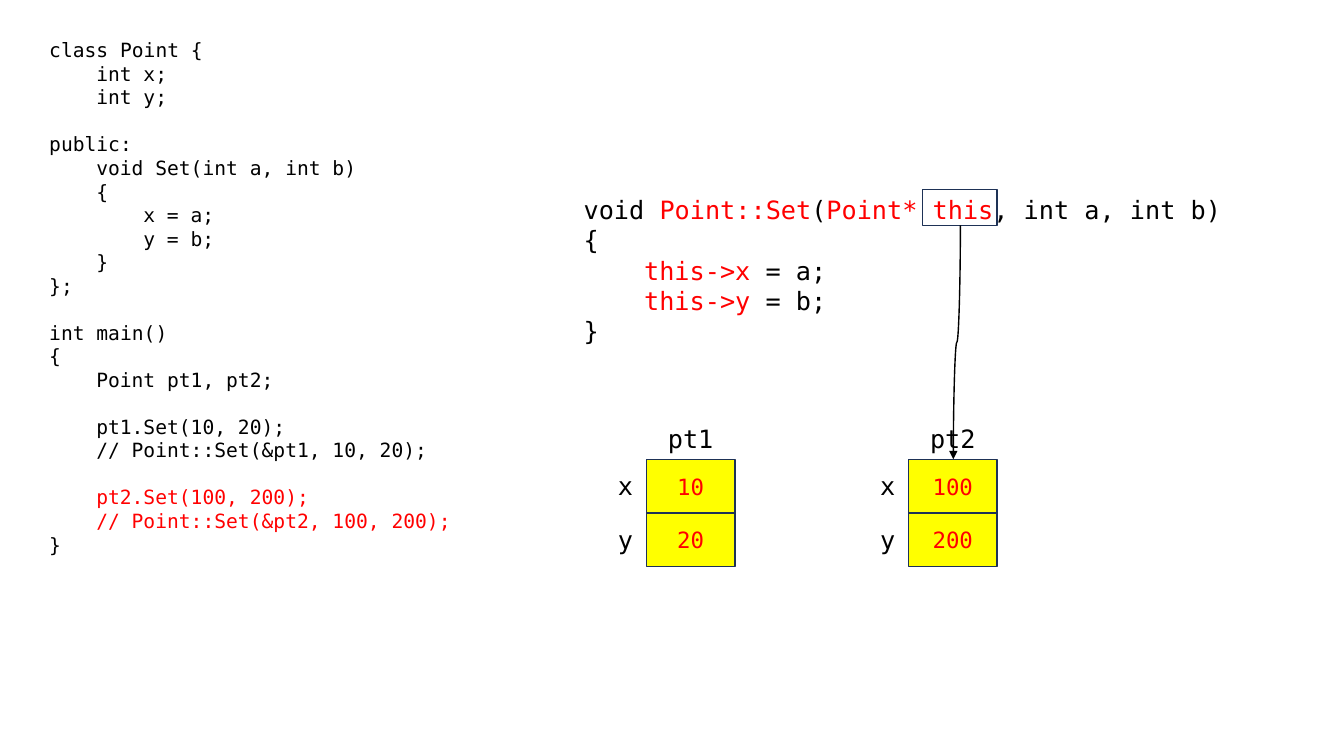
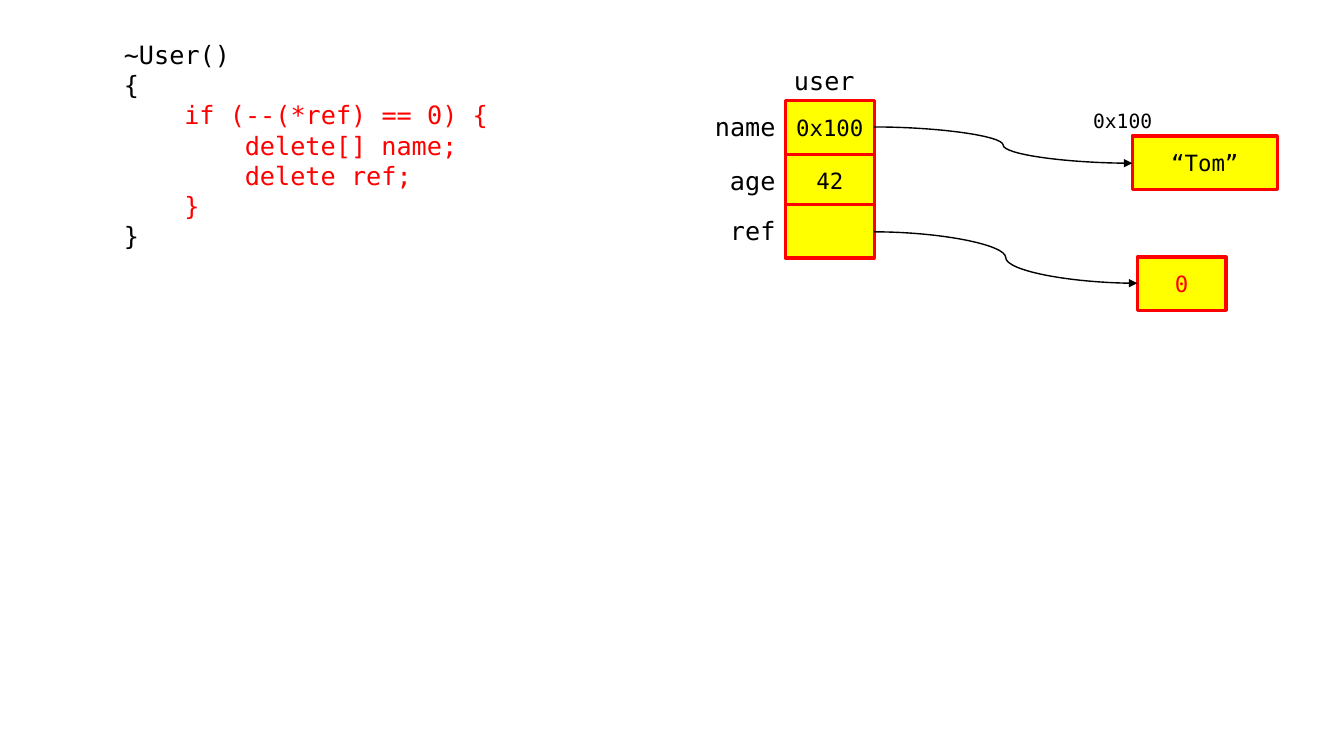
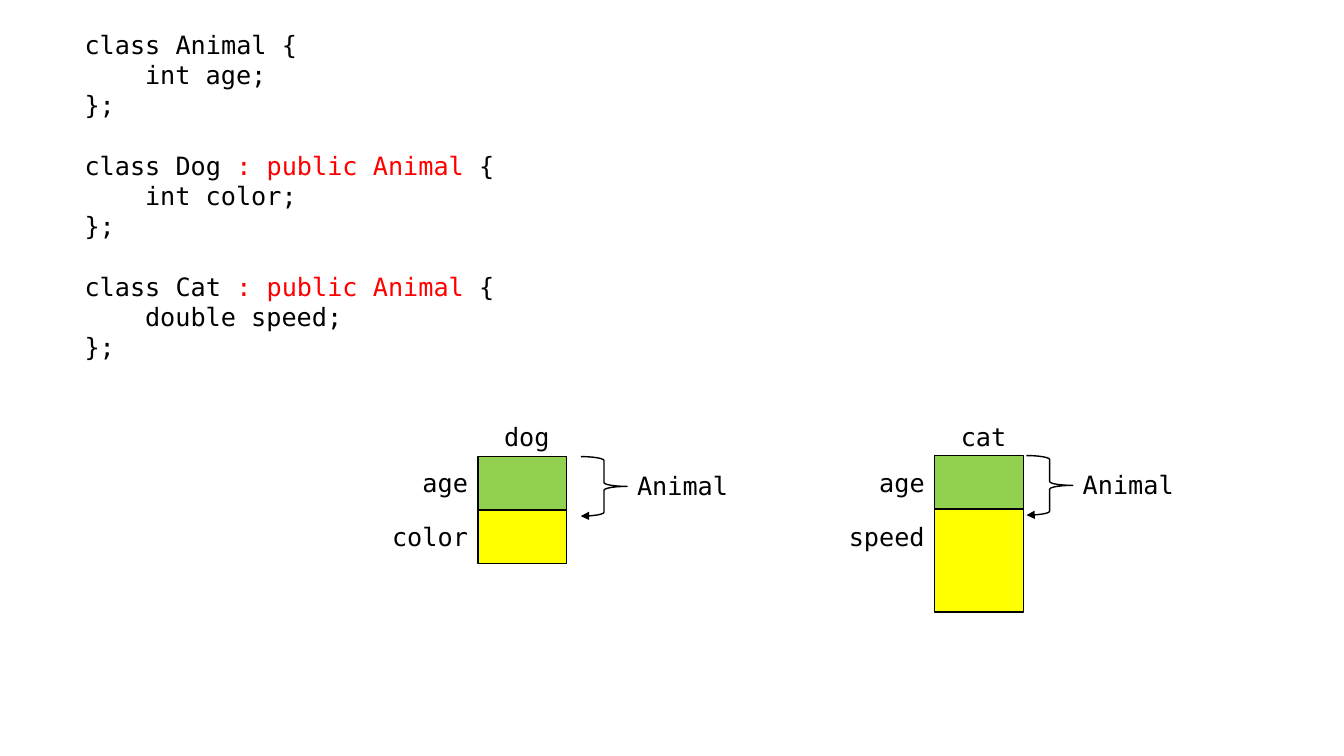
from lxml import etree
from pptx import Presentation
from pptx.dml.color import RGBColor
from pptx.enum import shapes, text
from pptx.oxml import ns
from pptx.util import Inches, Pt

FONT = "DejaVu Sans Mono"
BLACK = RGBColor(0x00, 0x00, 0x00)
RED = RGBColor(0xFF, 0x00, 0x00)
YELLOW = RGBColor(0xFF, 0xFF, 0x00)
GREEN = RGBColor(0x92, 0xD0, 0x50)
NAVY = RGBColor(0x1E, 0x32, 0x56)
LEFT, CENTER, RIGHT = text.PP_ALIGN.LEFT, text.PP_ALIGN.CENTER, text.PP_ALIGN.RIGHT
RECT = shapes.MSO_SHAPE.RECTANGLE
BRACE = shapes.MSO_SHAPE.LEFT_BRACE
CHAR_WIDTH, LINE_HEIGHT = 0.6, 1.2  # in ems
CELL_W, CELL_H = 0.88, 0.53
LABEL_H = 0.4


def put(slide, at, source="", size=18, align=LEFT, kind=None, fill=None, line=BLACK, width=1):
    """Add a text box, or a shape of the given kind; text between bars is red."""
    at = [Inches(v) for v in at]
    if kind is None:
        sp = slide.shapes.add_textbox(*at)
        sp.text_frame.auto_size = text.MSO_AUTO_SIZE.SHAPE_TO_FIT_TEXT
    else:
        sp = slide.shapes.add_shape(kind, *at)
        sp.shadow.inherit = False
        sp.line.color.rgb = line
        sp.line.width = Pt(width)
        if fill is None:
            sp.fill.background()
        else:
            sp.fill.solid()
            sp.fill.fore_color.rgb = fill
        sp.text_frame.vertical_anchor = text.MSO_ANCHOR.MIDDLE
    tf = sp.text_frame
    tf.word_wrap = True
    p, gap = tf.paragraphs[0], 0
    for row in source.strip("\n").splitlines():
        if not row:
            gap = size * LINE_HEIGHT
            continue
        if p.runs:
            p = tf.add_paragraph()
        p.alignment = align
        p.line_spacing = Pt(size * LINE_HEIGHT)
        p.space_before = Pt(gap)
        gap = 0
        code = row.lstrip(" ")
        indent = (len(row) - len(code)) * CHAR_WIDTH * size
        p._p.get_or_add_pPr().set("marL", str(Pt(indent)))
        for i, part in enumerate(code.split("|")):
            if part:
                r = p.add_run()
                r.text = part
                r.font.name = FONT
                r.font.size = Pt(size)
                r.font.color.rgb = RED if i % 2 else BLACK
    return sp


def add_arrowhead(sp):
    """Put a triangle at the end of the shape's line."""
    ln = sp.line._get_or_add_ln()
    etree.SubElement(ln, ns.qn("a:tailEnd"), type="triangle")


prs = Presentation()
prs.slide_width, prs.slide_height = Inches(13.33), Inches(7.5)
this_slide, ref_slide, animal_slide = [
    prs.slides.add_slide(prs.slide_layouts[6]) for _ in range(3)]

# Slide 1: the this pointer
put(this_slide, (0.39, 0.33, 5.14, 5.28), """
class Point {
    int x;
    int y;

public:
    void Set(int a, int b)
    {
        x = a;
        y = b;
    }
};

int main()
{
    Point pt1, pt2;

    pt1.Set(10, 20);
    // Point::Set(&pt1, 10, 20);

    |pt2.Set(100, 200);|
    |// Point::Set(&pt2, 100, 200);|
}
""", 14)
for name, x, values in [("pt1", 6.41, (10, 20)), ("pt2", 9.01, (100, 200))]:
    put(this_slide, (x, 4.15, CELL_W, LABEL_H), name, align=CENTER)
    for i, (field, value) in enumerate(zip("xy", values)):
        y = 4.56 + i * CELL_H
        put(this_slide, (x, y, CELL_W, CELL_H), f"|{value}|", 16, CENTER, RECT, YELLOW, NAVY)
        put(this_slide, (x - 0.38, y + 0.06, 0.38, LABEL_H), field)
put(this_slide, (5.69, 1.88, 6.92, 1.62), """
void |Point::Set|(|Point* this|, int a, int b)
{
    |this->x| = a;
    |this->y| = b;
}
""")
put(this_slide, (9.15, 1.88, 0.74, 0.36), kind=RECT, line=NAVY)

# Slide 2: the reference count
put(ref_slide, (0.53, 0.34, 5.14, 2.22), """
    ~User()
    {
        |if (--(*ref) == 0) {|
            |delete[] name;|
            |delete ref;|
        |}|
    }
""")
put(ref_slide, (7.6, 0.6, 1.15, LABEL_H), "user", align=CENTER)
for field, y in [("name", 1), ("age", 1.53), ("ref", 2.03)]:
    put(ref_slide, (6.92, y + 0.06, 0.87, LABEL_H), field, align=RIGHT)
put(ref_slide, (10.6, 1.03, 1.07, 0.34), "0x100", 14, CENTER)
for x, y, w, value in [(7.79, 1, CELL_W, "0x100"), (7.79, 1.53, CELL_W, "42"),
                       (7.79, 2.03, CELL_W, ""), (11.23, 1.35, 1.44, "“Tom”"),
                       (11.28, 2.55, CELL_W, "|0|")]:
    put(ref_slide, (x, y, w, CELL_H), value, 16, CENTER, RECT, YELLOW, RED, 2.25)

# Slide 3: inheritance
put(animal_slide, (0.74, 0.24, 6.67, 3.43), """
class Animal {
    int age;
};

class Dog |: public Animal| {
    int color;
};

class Cat |: public Animal |{
    double speed;
};
""")
for name, x, y, field, field_h, brace_x in [("dog", 4.74, 4.53, "color", CELL_H, 5.76),
                                            ("cat", 9.27, 4.52, "speed", 1.02, 10.18)]:
    put(animal_slide, (x, 4.13, 0.97, LABEL_H), name, align=CENTER)
    put(animal_slide, (x, y, CELL_W, CELL_H), kind=RECT, fill=GREEN)
    put(animal_slide, (x, y + CELL_H, CELL_W, field_h), kind=RECT, fill=YELLOW)
    for i, label in enumerate(("age", field)):
        put(animal_slide, (x - 1.46, 4.59 + i * CELL_H, 1.46, LABEL_H), label, align=RIGHT)
    brace = put(animal_slide, (brace_x, y, 0.46, 0.59), kind=BRACE)
    brace.rotation = 180
    add_arrowhead(brace)
    put(animal_slide, (brace_x + 0.1, y + 0.09, 1.46, LABEL_H), "Animal", align=RIGHT)

# Curved pointers; the first one is turned to run downwards
for slide, ends, turn in [(this_slide, (8.33, 3.36, 10.65, 3.43), 90),
                          (ref_slide, (8.67, 1.26, 11.23, 1.62), 0),
                          (ref_slide, (8.67, 2.3, 11.28, 2.81), 0)]:
    pointer = slide.shapes.add_connector(shapes.MSO_CONNECTOR.CURVE, *[Inches(v) for v in ends])
    pointer.line.color.rgb = BLACK
    pointer.line.width = Pt(1)
    add_arrowhead(pointer)
    sp_pr = pointer._element.spPr
    sp_pr.xfrm.rot = turn
    etree.SubElement(sp_pr, ns.qn("a:effectLst"))

prs.save("out.pptx")
